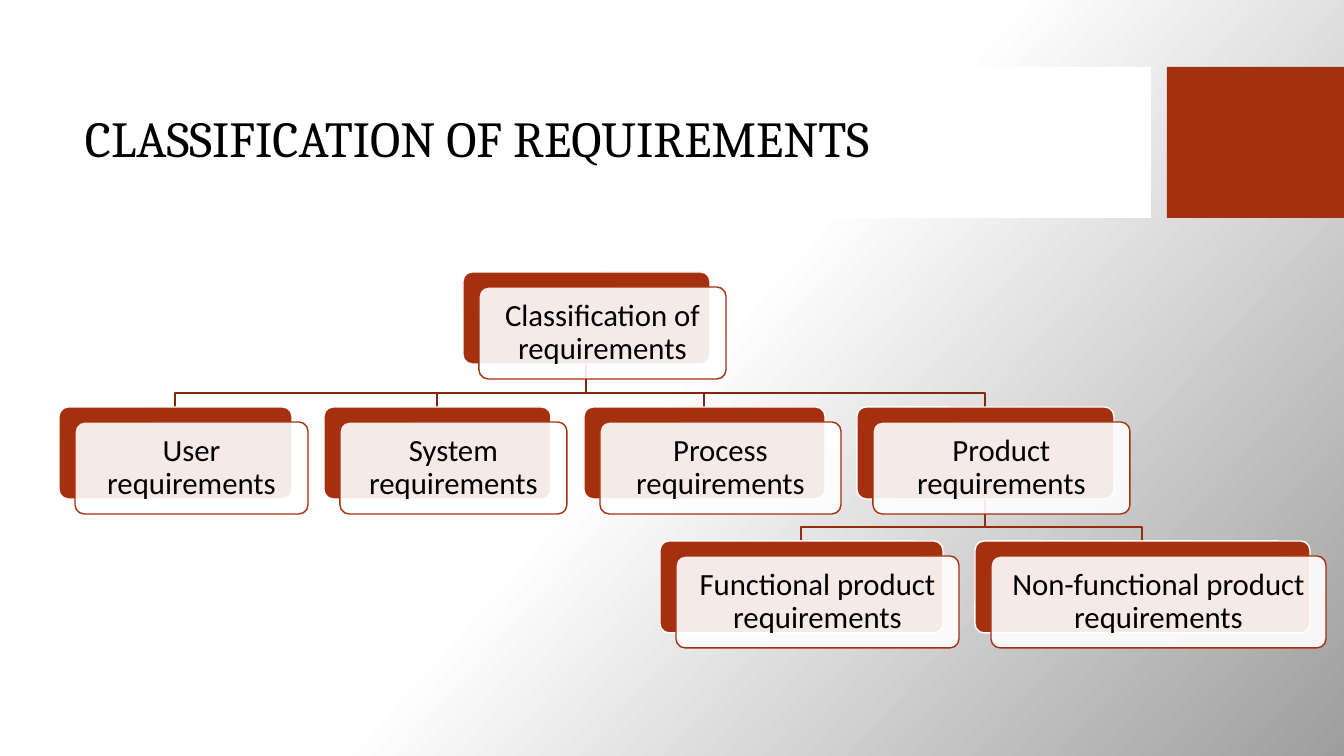
from copy import deepcopy

from lxml.etree import SubElement
from pptx import Presentation
from pptx.dml.color import RGBColor
from pptx.enum.shapes import MSO_SHAPE as SHAPE
from pptx.enum.text import MSO_ANCHOR as ANCHOR, PP_ALIGN as ALIGN
from pptx.oxml.ns import qn
from pptx.util import Pt

SCALE = 914400 / 100.8
WHITE = RGBColor(0xFF, 0xFF, 0xFF)
BLACK = RGBColor(0, 0, 0)
GRAY = RGBColor(0x9E, 0x9E, 0x9E)
RUST = RGBColor(0xA5, 0x30, 0x0F)
UPPER_LINE = RGBColor(0x84, 0x26, 0x0C)
LOWER_LINE = RGBColor(0x96, 0x2C, 0x0E)

CARD_HEIGHT = 92
CARD_SHIFT = (16, 15)
BEND = 14  # from the bend of a branch down to the child card

# Level tops, and each card as (text, left, width)
LEVEL_TOPS = (0, 135, 269)
ROOT = ("Classification of requirements", 404, 247)
KINDS = (
    ("User requirements", 0, 233),
    ("System requirements", 265, 227),
    ("Process requirements", 525, 241),
    ("Product requirements", 798, 257),
)
PRODUCT_KINDS = (
    ("Functional product requirements", 601, 283),
    ("Non-functional product requirements", 916, 335),
)


def emu(*pixels):
    return [round(pixel * SCALE) for pixel in pixels]


def set_values(target, values):
    for name, value in values.items():
        setattr(target, name, value)


def add_box(slide, kind, box, fill, line=None):
    shape = slide.shapes.add_shape(kind, *emu(*box))
    shape.shadow.inherit = False
    shape.fill.solid()
    shape.fill.fore_color.rgb = fill
    if line is None:
        shape.line.fill.background()
    else:
        shape.line.color.rgb = line
        shape.line.width = Pt(1)
    return shape


def write_text(shape, text, font, size, align, margins):
    frame = shape.text_frame
    set_values(frame, {"word_wrap": True, "vertical_anchor": ANCHOR.MIDDLE, **margins})
    paragraph = frame.paragraphs[0]
    set_values(paragraph, {"alignment": align, "line_spacing": 0.9})
    run = paragraph.add_run()
    run.text = text
    set_values(run.font, {"name": font, "size": Pt(size)})
    run.font.color.rgb = BLACK


def paint_background(slide):
    fill = slide.background.fill
    fill.gradient()
    fill.gradient_angle = 360 - 42
    for stop, position, color in zip(fill.gradient_stops, (0.5, 1), (WHITE, GRAY)):
        stop.position = position
        stop.color.rgb = color
    # The white holds from the start to the middle
    stops = slide.element.find(".//" + qn("a:gsLst"))
    stops.insert(0, deepcopy(stops[0]))
    fill.gradient_stops[0].position = 0


def add_title_band(slide, left, top, width, height):
    block_width = 177
    add_box(slide, SHAPE.RECTANGLE, (left, top, width - block_width - 16, height), WHITE)
    add_box(slide, SHAPE.RECTANGLE,
            (left + width - block_width, top, block_width, height), RUST)
    title = slide.shapes.add_textbox(*emu(left + 75, top + 15, 1059, 119))
    write_text(title, "CLASSIFICATION OF REQUIREMENTS", "Cambria", 36, ALIGN.LEFT, {})


def add_card(slide, left, top, width, text):
    box = (left, top, width, CARD_HEIGHT)
    front_box = (left + CARD_SHIFT[0], top + CARD_SHIFT[1], width, CARD_HEIGHT)
    back = add_box(slide, SHAPE.ROUNDED_RECTANGLE, box, RUST, WHITE)
    front = add_box(slide, SHAPE.ROUNDED_RECTANGLE, front_box, WHITE, RUST)
    for shape in (back, front):
        shape.adjustments[0] = 0.1
    color = front.fill._xPr.find(".//" + qn("a:srgbClr"))
    SubElement(color, qn("a:alpha"), val="90000")
    margin = emu(9)[0]
    sides = ("margin_left", "margin_top", "margin_right", "margin_bottom")
    write_text(front, text, "Calibri", 22, ALIGN.CENTER, dict.fromkeys(sides, margin))


def add_branch(slide, start_x, start_y, end_x, end_y, color):
    builder = slide.shapes.build_freeform(start_x, start_y, scale=SCALE)
    bend_y = end_y - BEND
    builder.add_line_segments(
        [(start_x, bend_y), (end_x, bend_y), (end_x, end_y)], close=False)
    branch = builder.convert_to_shape()
    branch.shadow.inherit = False
    branch.fill.background()
    branch.line.color.rgb = color
    branch.line.width = Pt(1)


def add_hierarchy(slide, left, top):
    levels = ((ROOT,), KINDS, PRODUCT_KINDS)
    # Branches lie behind the cards
    families = ((1, KINDS[-1], PRODUCT_KINDS, LOWER_LINE), (0, ROOT, KINDS, UPPER_LINE))
    for level, parent, children, color in families:
        start_y = top + LEVEL_TOPS[level] + CARD_HEIGHT
        for child in reversed(children):
            start_x, end_x = (left + card[1] + card[2] // 2 for card in (parent, child))
            add_branch(slide, start_x, start_y, end_x, top + LEVEL_TOPS[level + 1], color)
    for level_top, cards in zip(LEVEL_TOPS, levels):
        for text, card_left, width in cards:
            add_card(slide, left + card_left, top + level_top, width, text)


presentation = Presentation()
presentation.slide_width, presentation.slide_height = emu(1344, 756)
slide = presentation.slides.add_slide(presentation.slide_layouts[6])
paint_background(slide)
add_title_band(slide, 0, 67, 1344, 151)
add_hierarchy(slide, 59, 272)
presentation.save("out.pptx")
